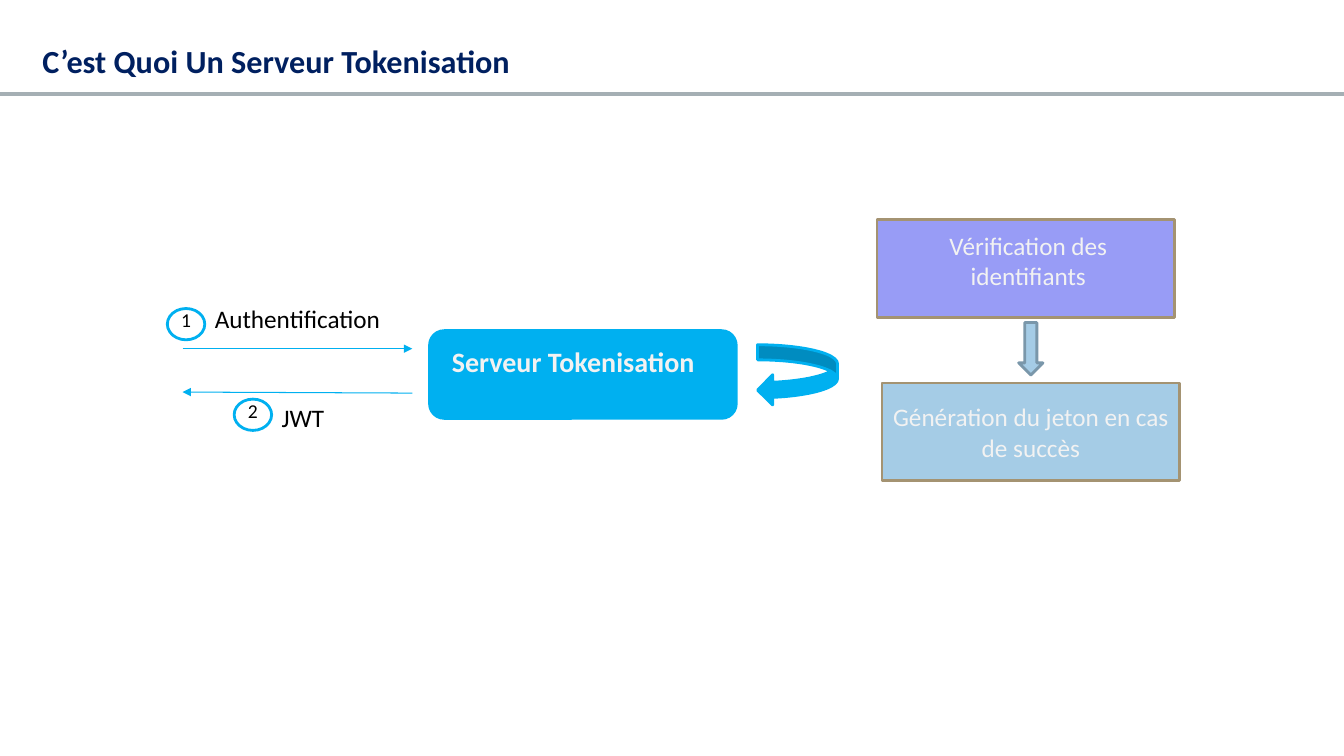
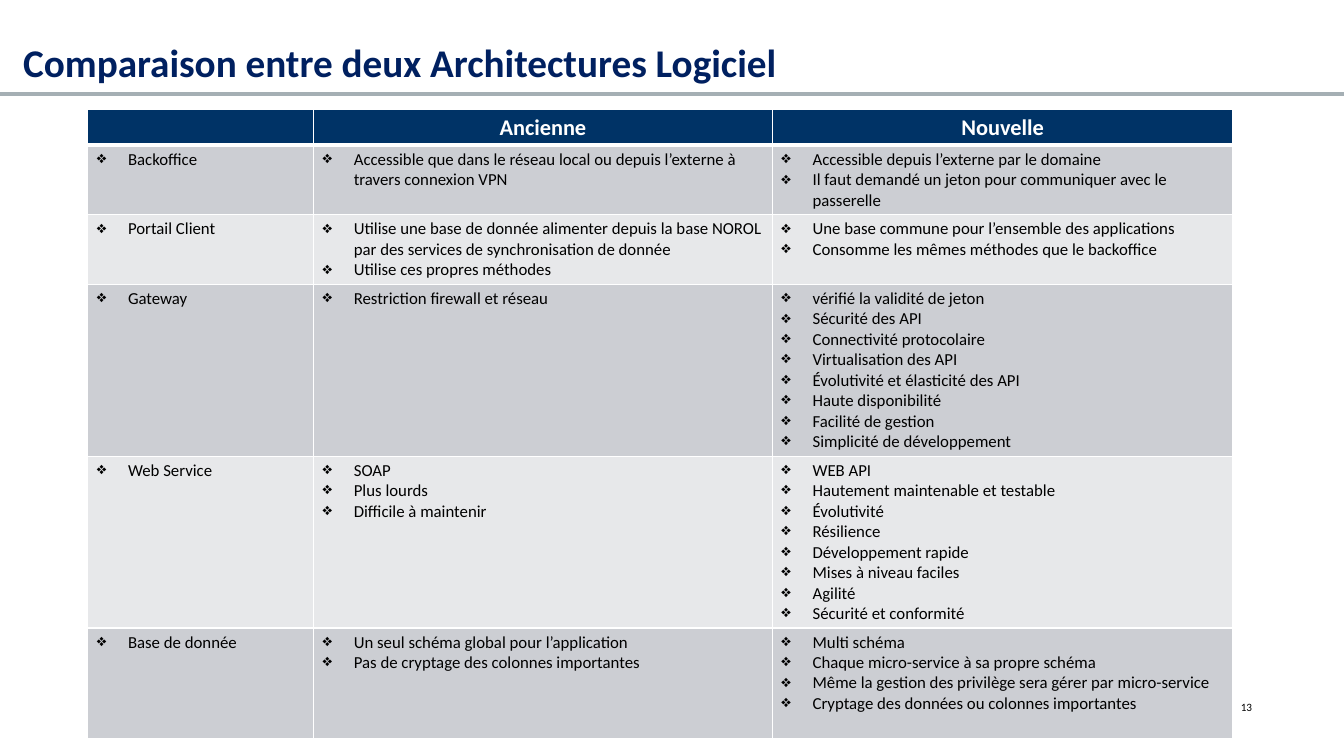
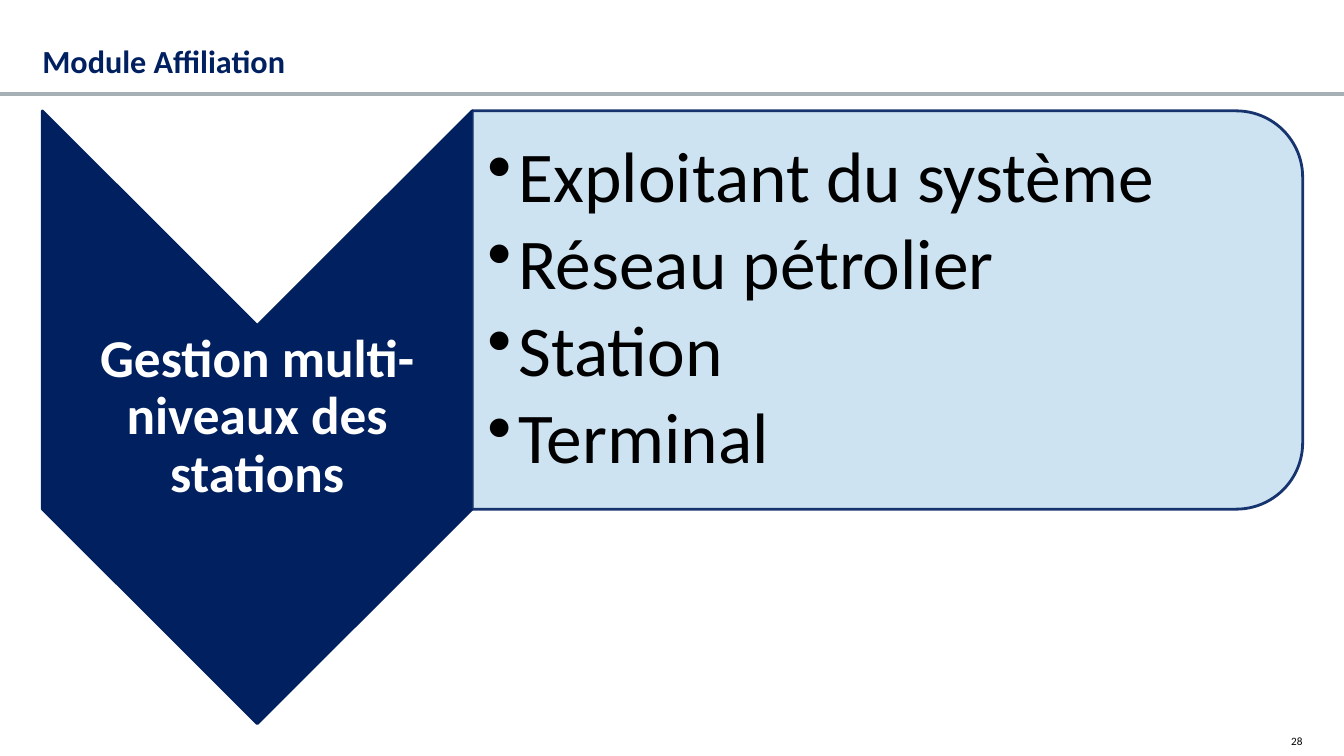
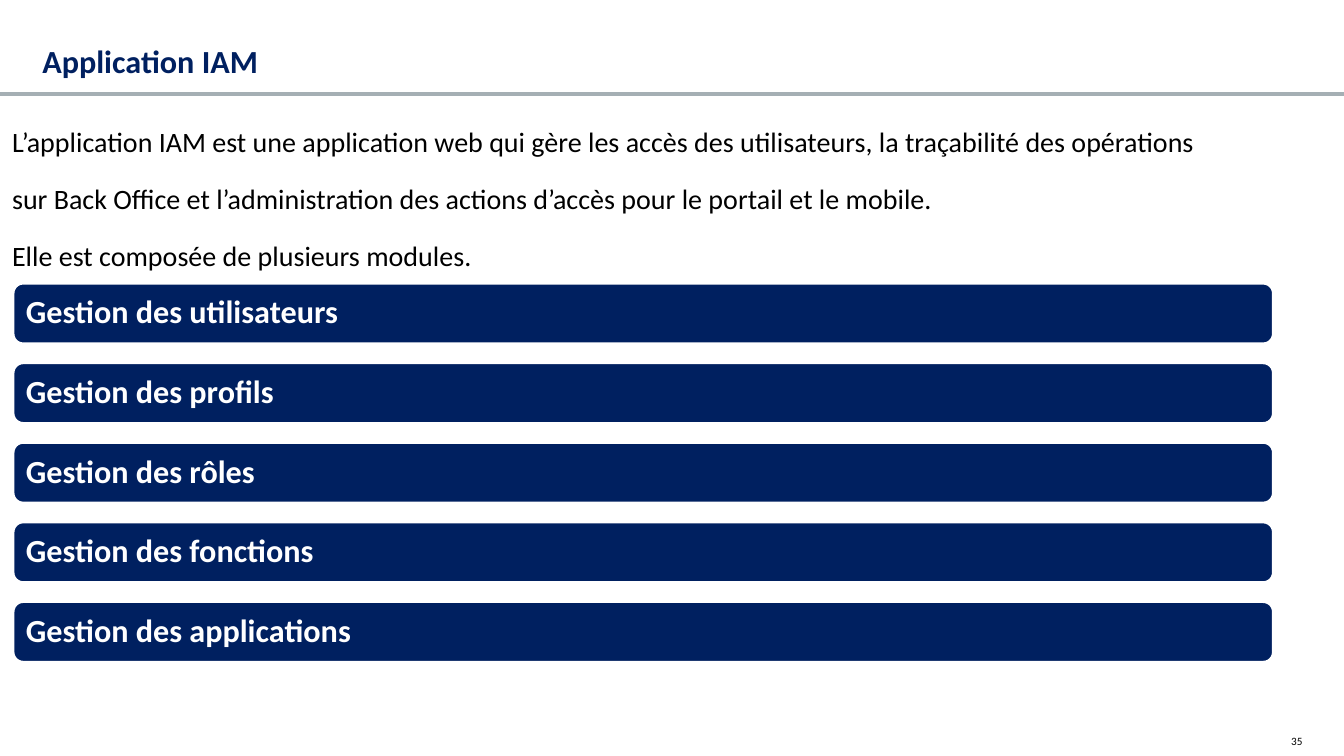
from dataclasses import dataclass

from lxml import etree
from pptx import Presentation
from pptx.dml.color import RGBColor
from pptx.enum.shapes import MSO_CONNECTOR, MSO_SHAPE
from pptx.enum.text import MSO_ANCHOR, MSO_AUTO_SIZE, PP_ALIGN
from pptx.oxml.ns import qn
from pptx.util import Inches, Pt

STRAIGHT = MSO_CONNECTOR.STRAIGHT
RECT, ROUNDED, OVAL = MSO_SHAPE.RECTANGLE, MSO_SHAPE.ROUNDED_RECTANGLE, MSO_SHAPE.OVAL
CHEVRON, TOP_ROUNDED = MSO_SHAPE.CHEVRON, MSO_SHAPE.ROUND_2_SAME_RECTANGLE
DOWN_ARROW, CURVED_ARROW = MSO_SHAPE.DOWN_ARROW, MSO_SHAPE.CURVED_LEFT_ARROW
TOP, MIDDLE, BOTTOM = MSO_ANCHOR.TOP, MSO_ANCHOR.MIDDLE, MSO_ANCHOR.BOTTOM
LEFT, CENTER, RIGHT, JUSTIFY = PP_ALIGN.LEFT, PP_ALIGN.CENTER, PP_ALIGN.RIGHT, PP_ALIGN.JUSTIFY
NO_AUTOFIT = MSO_AUTO_SIZE.NONE

FONT = "Calibri"
COLORS = {
    "navy": "002060", "rule": "A5AFB4", "white": "FFFFFF", "black": "000000",
    "pale_text": "F2F2F2", "cyan": "00B0F0", "violet": "989CF6", "sky": "A5CCE6",
    "bronze": "A49372", "steel": "7A97AA", "panel": "C9E0F0",
    "header": "003366", "band_dark": "CCCED3", "band_light": "E7E8EA",
}
NO_MARGIN = (0, 0, 0, 0)
TEXT_MARGIN = (0.1, 0.05, 0.1, 0.05)


@dataclass
class Box:
    """A region of a slide, in inches."""
    left: float
    top: float
    width: float
    height: float

    def region(self, left, top, width, height):
        """Return a region given in hundredths of this one."""
        return Box(self.left + self.width * left / 100, self.top + self.height * top / 100,
                   self.width * width / 100, self.height * height / 100)

    def turned(self):
        """Return the frame that fills this region after a quarter turn."""
        return Box(self.left + (self.width - self.height) / 2,
                   self.top + (self.height - self.width) / 2, self.height, self.width)

    def emu(self):
        """Return left, top, width and height as lengths."""
        return [Inches(v) for v in (self.left, self.top, self.width, self.height)]


SLIDE = Box(0, 0, 13.33, 7.5)
TITLE = Box(0.42, 0.09, 10.45, 0.7)
WIDE_TITLE = Box(0.23, 0.33, 11.5, 0.52)
PAGE_NUMBER = Box(12.39, 7.28, 0.53, 0.18)

COMPARISON = [
    (["Backoffice"],
     ["Accessible que dans le réseau local ou depuis l’externe à travers connexion VPN"],
     ["Accessible depuis l’externe par le domaine",
      "Il faut demandé un jeton pour communiquer avec le passerelle"]),
    (["Portail Client"],
     ["Utilise une base de donnée alimenter depuis la base NOROL par des services "
      "de synchronisation de donnée",
      "Utilise ces propres méthodes"],
     ["Une base commune pour l’ensemble des applications",
      "Consomme les mêmes méthodes que le backoffice"]),
    (["Gateway"],
     ["Restriction firewall et réseau"],
     ["vérifié la validité de jeton", "Sécurité des API", "Connectivité protocolaire",
      "Virtualisation des API", "Évolutivité et élasticité des API", "Haute disponibilité",
      "Facilité de gestion", "Simplicité de développement"]),
    (["Web Service"],
     ["SOAP", "Plus lourds", "Difficile à maintenir"],
     ["WEB API", "Hautement maintenable et testable", "Évolutivité", "Résilience",
      "Développement rapide", "Mises à niveau faciles", "Agilité", "Sécurité et conformité"]),
    (["Base de donnée"],
     ["Un seul schéma global pour l’application", "Pas de cryptage des colonnes importantes"],
     ["Multi schéma", "Chaque micro-service à sa propre schéma",
      "Même la gestion des privilège sera gérer par micro-service",
      "Cryptage des données ou colonnes importantes"]),
]


def rgb(name):
    """Return the named colour."""
    return RGBColor.from_string(COLORS[name])


def add_bullet(paragraph, mark):
    """Give a paragraph a hanging bullet."""
    properties = paragraph._p.get_or_add_pPr()
    properties.set("marL", str(Inches(0.31)))
    properties.set("indent", str(-Inches(0.31)))
    etree.SubElement(properties, qn("a:buChar")).set("char", mark)


def write(frame, lines, size, color="black", bold=False, align=LEFT, bullet=None,
          spacing=None, before=0, after=0):
    """Fill a text frame with one styled paragraph per line."""
    for index, line in enumerate(lines):
        paragraph = frame.add_paragraph() if index else frame.paragraphs[0]
        if bullet:
            add_bullet(paragraph, bullet)
        paragraph.alignment = align
        if spacing:
            paragraph.line_spacing = spacing
        paragraph.space_before = Pt(before if index else 0)
        paragraph.space_after = Pt(after)
        run = paragraph.add_run()
        run.text = line
        font = run.font
        font.name, font.size, font.bold = FONT, Pt(size), bold
        font.color.rgb = rgb(color)


def set_frame(frame, margins=TEXT_MARGIN, anchor=TOP, wrap=True):
    """Set the margins, anchor and wrapping of a text frame."""
    frame.auto_size = NO_AUTOFIT
    frame.word_wrap = wrap
    frame.vertical_anchor = anchor
    (frame.margin_left, frame.margin_top,
     frame.margin_right, frame.margin_bottom) = [Inches(m) for m in margins]
    return frame


def add_text(slide, box, lines, size, margins=TEXT_MARGIN, anchor=TOP, **style):
    """Add a text box."""
    frame = slide.shapes.add_textbox(*box.emu()).text_frame
    write(set_frame(frame, margins, anchor), lines, size, **style)


def add_figure(slide, kind, box, fill, line, quarter_turn=False):
    """Add a preset shape with a two-point outline."""
    frame = box.turned() if quarter_turn else box
    figure = slide.shapes.add_shape(kind, *frame.emu())
    figure.rotation = 90 if quarter_turn else 0
    figure.shadow.inherit = False
    if fill:
        figure.fill.solid()
        figure.fill.fore_color.rgb = rgb(fill)
    else:
        figure.fill.background()
    figure.line.color.rgb = rgb(line)
    figure.line.width = Pt(2)
    return figure


def add_line(slide, start, end, color, width, arrow=False):
    """Add a straight line, with an arrowhead at its end if asked."""
    line = slide.shapes.add_connector(STRAIGHT, *[Inches(v) for v in (*start, *end)])
    line.line.color.rgb = rgb(color)
    line.line.width = Pt(width)
    if arrow:
        etree.SubElement(line.line._get_or_add_ln(), qn("a:tailEnd")).set("type", "triangle")
    etree.SubElement(line.element.spPr, qn("a:effectLst"))
    return line


def add_header_rule(slide):
    """Put the rule under the titles on the layout of the slide."""
    rule = add_line(slide, (0, 0.93), (SLIDE.width, 0.93), "rule", 2.8)
    slide.slide_layout.shapes.element.append(rule.element)


def add_slide(deck, title, box=TITLE, size=23):
    """Add a slide with its title."""
    slide = deck.slides.add_slide(deck.slide_layouts[5])
    heading = slide.shapes.title
    heading.left, heading.top, heading.width, heading.height = box.emu()
    write(set_frame(heading.text_frame, NO_MARGIN, BOTTOM), [title], size,
          color="navy", bold=True, spacing=0.84)
    return slide


def add_page_number(slide, number, box=PAGE_NUMBER):
    """Add the page number."""
    add_text(slide, box, [number], 8, NO_MARGIN, align=RIGHT)


def draw_exchange(slide, box):
    """Draw the numbered request and reply."""
    messages = [
        ("1", "Authentification", (0, 34), (3.7, 30.1), (1.5, 49.4), (24.2, 49.4)),
        ("2", "JWT", (6.6, 68.7), (10.3, 68), (24.2, 66.4), (1.5, 66)),
    ]
    for number, message, badge_at, message_at, start, end in messages:
        ends = [box.region(*point, 0, 0) for point in (start, end)]
        add_line(slide, *[(p.left, p.top) for p in ends], "cyan", 0.75, arrow=True)
        add_text(slide, box.region(*message_at, 19.8, 15.4), [message], 18)
        badge = add_figure(slide, OVAL, box.region(*badge_at, 3.7, 12), None, "cyan")
        frame = set_frame(badge.text_frame, (0, 0, 0, 0.08), MIDDLE, wrap=False)
        write(frame, [number], 14, align=CENTER)


def draw_server(slide, box):
    """Draw the token server and its loop arrow."""
    server = add_figure(slide, ROUNDED, box.region(25.9, 42.5, 30.3, 33.6), "cyan", "cyan")
    write(set_frame(server.text_frame, (0.1, 0.09, 0.29, 0.05)), ["Serveur Tokenisation"], 20,
          color="pale_text", bold=True, align=CENTER)
    add_figure(slide, CURVED_ARROW, box.region(58.3, 47.9, 7.9, 23.2), "cyan", "cyan")


def draw_steps(slide, box):
    """Draw the two steps done by the server."""
    steps = [
        ("Vérification des identifiants", "violet", (70.1, 0), (0.2, 0.1, 0.15, 0.05), TOP),
        ("Génération du jeton en cas de succès", "sky", (70.6, 62.5), (0.05, 0.05, 0.05, 0.05), MIDDLE),
    ]
    for label, fill, at, margins, anchor in steps:
        step = add_figure(slide, RECT, box.region(*at, 29.4, 37.5), fill, "bronze")
        write(set_frame(step.text_frame, margins, anchor), [label], 18,
              color="pale_text", align=CENTER)
    add_figure(slide, DOWN_ARROW, box.region(84.1, 39.4, 2.4, 20.1), "sky", "steel")


def format_cell(cell, fill, bottom_width):
    """Set the borders, fill and margins of a cell."""
    properties = cell._tc.get_or_add_tcPr()
    for side, width in (("L", 1), ("R", 1), ("T", 1), ("B", bottom_width)):
        border = etree.SubElement(properties, qn(f"a:ln{side}"), w=str(Pt(width)))
        paint = etree.SubElement(border, qn("a:solidFill"))
        etree.SubElement(paint, qn("a:srgbClr")).set("val", COLORS["white"])
    cell.fill.solid()
    cell.fill.fore_color.rgb = rgb(fill)
    cell.margin_left = cell.margin_right = Inches(0.09)
    cell.margin_top = cell.margin_bottom = Inches(0.04)


def draw_comparison(slide, box):
    """Draw the table that compares both architectures."""
    heights = [0.28, 0.61, 0.61, 1.5, 1.5, 1.1]
    table = slide.shapes.add_table(len(heights), 3, *box.emu()).table
    for column, width in zip(table.columns, (2.24, 4.55, 4.57)):
        column.width = Inches(width)
    for row, height in zip(table.rows, heights):
        row.height = Inches(height)
    for index, heading in enumerate(["", "Ancienne", "Nouvelle"]):
        cell = table.cell(0, index)
        format_cell(cell, "header", 3)
        if heading:
            write(cell.text_frame, [heading], 16, color="white", bold=True, align=CENTER)
        else:
            blank = cell.text_frame.paragraphs[0]._p
            etree.SubElement(blank, qn("a:endParaRPr")).set("sz", "1600")
    for row, criteria in enumerate(COMPARISON, 1):
        for column, points in enumerate(criteria):
            cell = table.cell(row, column)
            format_cell(cell, "band_dark" if row % 2 else "band_light", 1)
            write(cell.text_frame, points, 12, bullet="❖")


def draw_levels(slide, box):
    """Draw the chevron and the panel listing the station levels."""
    chevron_box = box.region(0, 0, 34.1, 100)
    panel_box = box.region(34.1, 0, 65.9, 65)
    add_figure(slide, CHEVRON, chevron_box, "navy", "navy", quarter_turn=True)
    add_text(slide, chevron_box, ["Gestion multi-niveaux des stations"], 38,
             (0.03, 0.03, 0.03, 0.03), MIDDLE, color="white", bold=True,
             align=CENTER, spacing=0.9)
    panel = add_figure(slide, TOP_ROUNDED, panel_box, "panel", "navy", quarter_turn=True)
    for paint in panel.element.spPr.iter(qn("a:srgbClr")):
        etree.SubElement(paint, qn("a:alpha")).set("val", "90000")
    add_text(slide, panel_box, ["Exploitant du système", "Réseau pétrolier", "Station", "Terminal"],
             51, (0.15, 0.07, 0.15, 0.07), MIDDLE, bullet="•", spacing=0.9, after=7)


def draw_modules(slide, box):
    """Draw one evenly spaced bar for each module."""
    modules = ["utilisateurs", "profils", "rôles", "fonctions", "applications"]
    bar_height = 16
    step = (100 - bar_height) / (len(modules) - 1)
    for index, module in enumerate(modules):
        bar = add_figure(slide, ROUNDED, box.region(0, index * step, 100, bar_height), "navy", "white")
        write(set_frame(bar.text_frame, TEXT_MARGIN, MIDDLE), [f"Gestion des {module}"], 23,
              color="white", bold=True, spacing=0.9)


def main():
    """Build the presentation."""
    deck = Presentation()
    deck.slide_width, deck.slide_height = SLIDE.emu()[2:]

    token = add_slide(deck, "C’est Quoi Un Serveur Tokenisation")
    add_header_rule(token)
    flow = Box(1.66, 2.18, 10.04, 2.59)
    for draw in (draw_steps, draw_server, draw_exchange):
        draw(token, flow)

    comparison = add_slide(deck, "Comparaison entre deux Architectures Logiciel", WIDE_TITLE, 28)
    add_page_number(comparison, "13", Box(9.42, 6.95, 3, 0.4))
    draw_comparison(comparison, Box(0.87, 1.09, 11.36, 5.6))

    affiliation = add_slide(deck, "Module Affiliation")
    draw_levels(affiliation, Box(0.42, 1.1, 12.5, 6.08))
    add_page_number(affiliation, "28")

    access = add_slide(deck, "Application IAM")
    add_text(access, Box(0.12, 1.07, 12.7, 1.7), [
        "L’application IAM est une application web qui gère les accès des utilisateurs, "
        "la traçabilité des opérations",
        "sur Back Office et l’administration des actions d’accès pour le portail et le mobile.",
        "Elle est composée de plusieurs modules.",
    ], 20, NO_MARGIN, align=JUSTIFY, spacing=1.5, before=4.8)
    draw_modules(access, Box(0.13, 2.81, 12.5, 3.76))
    add_page_number(access, "35")

    deck.save("out.pptx")


if __name__ == "__main__":
    main()
